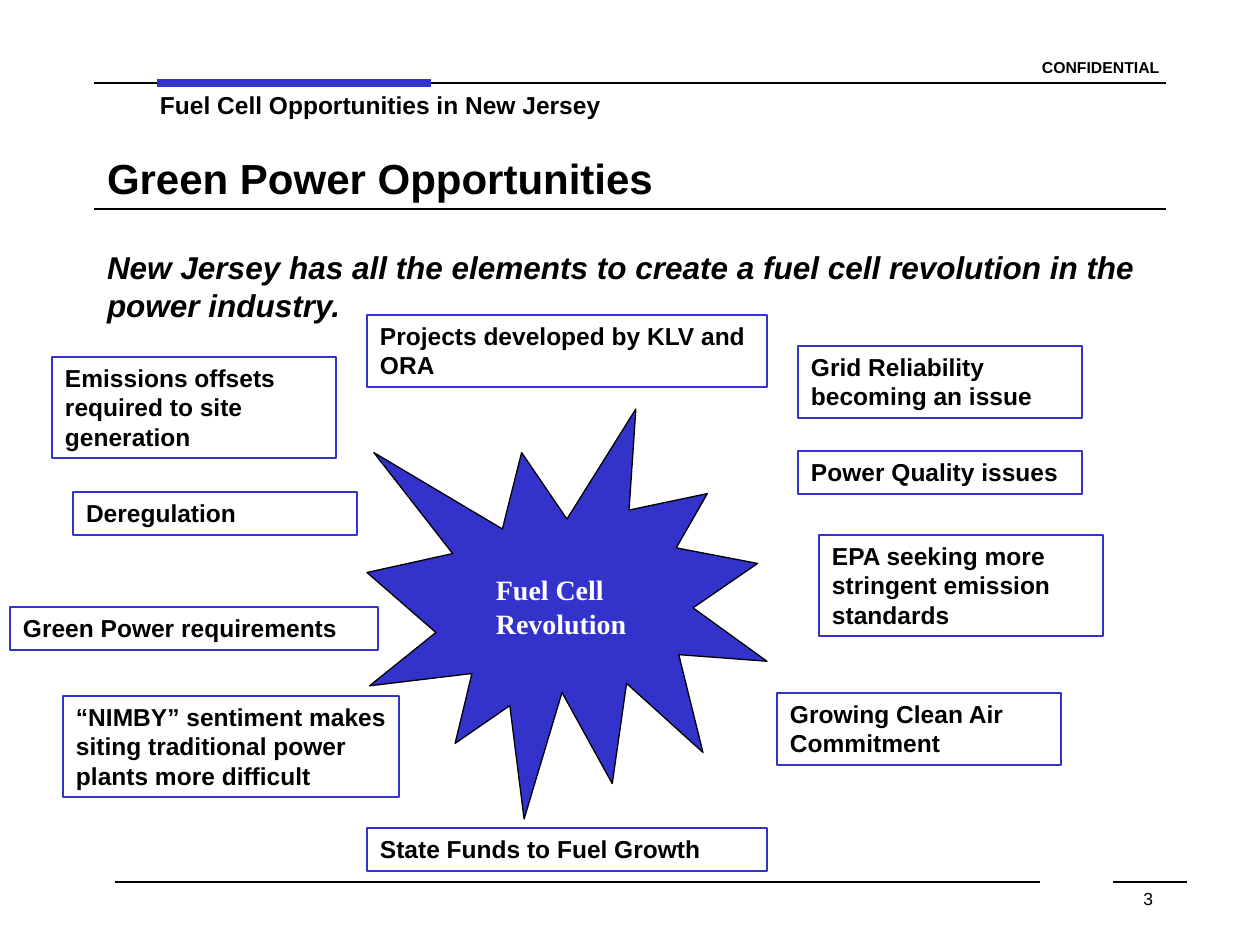
"""Build the Green Power Opportunities slide."""
import pptx
import pptx.dml.color
import pptx.enum.shapes
import pptx.enum.text
import pptx.oxml.ns
import pptx.util
from dataclasses import dataclass
from lxml import etree


@dataclass(frozen=True)
class Theme:
    black: str = "000000"
    white: str = "FFFFFF"
    blue: str = "3333CC"
    sans: str = "Arial"
    serif: str = "Times New Roman"
    title: int = 24
    lead: int = 18
    burst: int = 16
    label: int = 14
    number: int = 10
    tag: int = 9
    thin: float = 0.75
    thick: float = 5


T = Theme()
PX = 914400 // 126
MARGIN_X, MARGIN_Y = 13, 6
SPACE_RATIO = 0.625
LINE_HEIGHT = 29

TITLE = ("Green Power Opportunities", (94, 136, 1072, 84))
RULES = [
    (94, 1166, 83, T.black, T.thin),
    (157, 431, 83, T.blue, T.thick),
    (115, 1040, 882, T.black, T.thin),
    (1113, 1187, 882, T.black, T.thin),
    (94, 1166, 209, T.black, T.thin),
]
CAPTIONS = [
    ("CONFIDENTIAL", (1029, 52, 147, 31), dict(size=T.tag, bold=True)),
    ("Fuel Cell Opportunities in New Jersey", (147, 84, 766, 43), dict(size=T.label, bold=True)),
    ("New Jersey has all the elements to create a fuel cell revolution in the power industry.",
     (94, 242, 1081, 88), dict(size=T.lead, bold=True, italic=True)),
]
BURST = ("Fuel Cell Revolution", (367, 409, 400, 410), (483, 567, 168, 81))
DRIVERS = [
    ("Deregulation", 73, 492, 284, 1),
    ("Green Power requirements", 10, 607, 368, 1),
    ("Grid Reliability becoming an issue", 798, 346, 284, 2),
    ("Growing Clean Air Commitment", 777, 693, 284, 2),
    ("State Funds to Fuel Growth", 367, 828, 400, 1),
    ("Projects developed by KLV and ORA", 367, 315, 400, 2),
    ("EPA seeking more stringent emission standards", 819, 535, 284, 3),
    ("“NIMBY” sentiment makes siting traditional power plants more difficult", 63, 696, 336, 3),
    ("Power Quality issues", 798, 451, 284, 1),
    ("Emissions offsets required to site generation", 52, 357, 284, 3),
]
PAGE = ("3", (903, 882, 263, 63))


def px(*values):
    return [pptx.util.Emu(v * PX) for v in values]


def rgb(value):
    return pptx.dml.color.RGBColor.from_string(value)


def write(sp, text, size, color=T.black, font=T.sans, bold=False, italic=False,
          align=pptx.enum.text.PP_ALIGN.LEFT, anchor=pptx.enum.text.MSO_ANCHOR.TOP, space=True):
    tf = sp.text_frame
    tf.word_wrap = True
    tf.auto_size = pptx.enum.text.MSO_AUTO_SIZE.NONE
    tf.vertical_anchor = anchor
    tf.margin_left, tf.margin_right, tf.margin_top, tf.margin_bottom = px(
        MARGIN_X, MARGIN_X, MARGIN_Y, MARGIN_Y)
    p = tf.paragraphs[0]
    p.alignment = align
    p.space_before = pptx.util.Pt(round(size * SPACE_RATIO, 1) if space else 0)
    r = p.add_run()
    r.text = text
    r.font.size = pptx.util.Pt(size)
    r.font.name = font
    r.font.bold = bold
    r.font.italic = italic
    r.font.color.rgb = rgb(color)


def add_rule(s, x1, x2, y, color, width):
    line = s.shapes.add_connector(pptx.enum.shapes.MSO_CONNECTOR.STRAIGHT, *px(x1, y, x2, y))
    line.line.color.rgb = rgb(color)
    line.line.width = pptx.util.Pt(width)
    etree.SubElement(line._element.spPr, pptx.oxml.ns.qn("a:effectLst"))


def add_outlined(s, kind, box, line, fill=None):
    sp = s.shapes.add_shape(kind, *px(*box))
    sp.shadow.inherit = False
    if fill:
        sp.fill.solid()
        sp.fill.fore_color.rgb = rgb(fill)
    else:
        sp.fill.background()
    sp.line.color.rgb = rgb(line)
    sp.line.width = pptx.util.Pt(T.thin)
    return sp


def add_text(s, text, box, **style):
    write(s.shapes.add_textbox(*px(*box)), text, **style)


def main():
    prs = pptx.Presentation()
    prs.slide_width, prs.slide_height = px(1260, 945)
    s = prs.slides.add_slide(prs.slide_layouts[5])

    text, box = TITLE
    title = s.shapes.title
    title.left, title.top, title.width, title.height = px(*box)
    write(title, text, T.title, bold=True, anchor=pptx.enum.text.MSO_ANCHOR.MIDDLE, space=False)

    for rule in RULES:
        add_rule(s, *rule)
    for text, box, style in CAPTIONS:
        add_text(s, text, box, **style)

    shapes = pptx.enum.shapes.MSO_SHAPE
    text, outline, label = BURST
    add_outlined(s, shapes.EXPLOSION1, outline, T.black, T.blue)
    add_text(s, text, label, size=T.burst, color=T.white, font=T.serif, bold=True)

    for text, x, y, width, lines in DRIVERS:
        box = (x, y, width, lines * LINE_HEIGHT + 14)
        write(add_outlined(s, shapes.RECTANGLE, box, T.blue), text, T.label, bold=True)

    text, box = PAGE
    add_text(s, text, box, size=T.number, align=pptx.enum.text.PP_ALIGN.RIGHT, space=False)
    prs.save("out.pptx")


if __name__ == "__main__":
    main()
